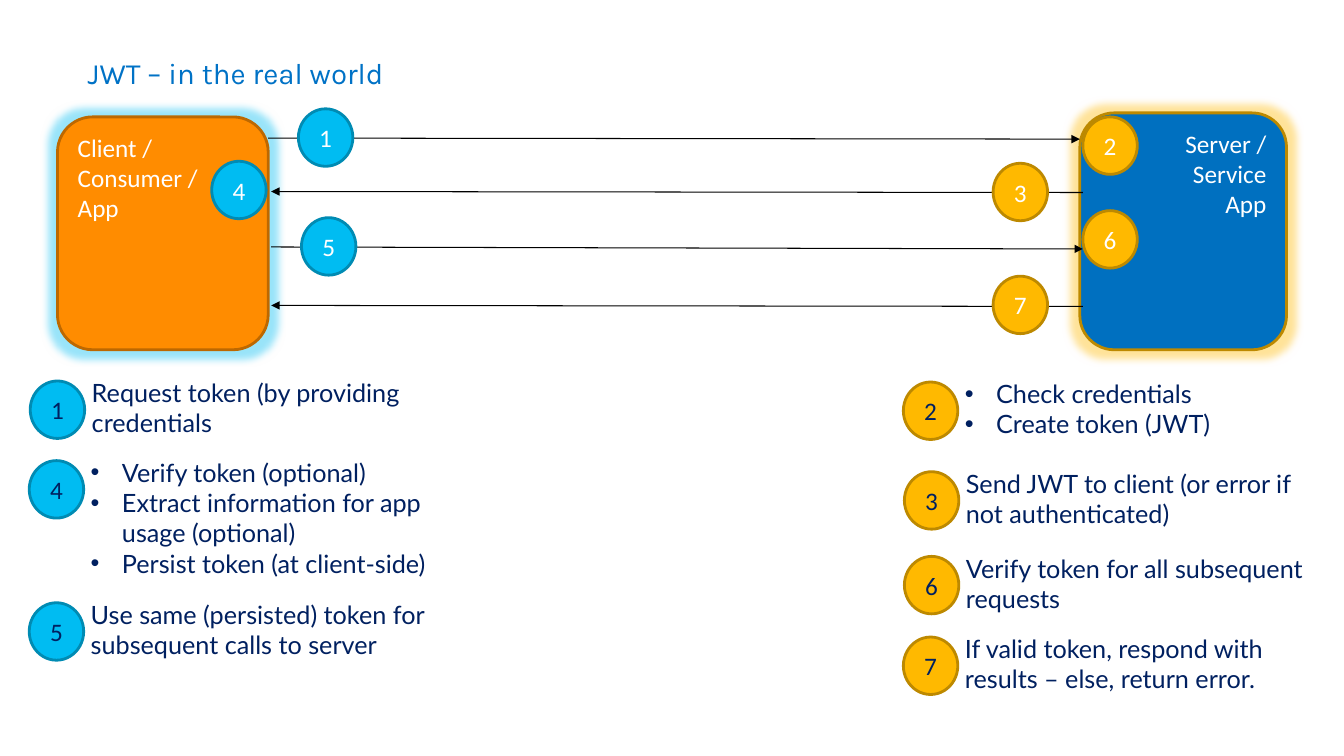
from lxml import etree
from pptx import Presentation
from pptx.dml.color import RGBColor
from pptx.enum import shapes, text
from pptx.oxml import ns
from pptx.util import Inches, Pt

WHITE = RGBColor(0xFF, 0xFF, 0xFF)
BLACK = RGBColor(0, 0, 0)
NAVY = RGBColor(0x00, 0x20, 0x60)
TITLE_BLUE = RGBColor(0x00, 0x72, 0xC6)
ORANGE = RGBColor(0xFF, 0x8C, 0x00)
BROWN = RGBColor(0xBD, 0x68, 0x00)
SERVER_BLUE = RGBColor(0x00, 0x70, 0xC0)
CYAN = RGBColor(0x00, 0xBC, 0xF2)
TEAL = RGBColor(0x00, 0x8B, 0xB3)
AMBER = RGBColor(0xFF, 0xB9, 0x00)
GOLD = RGBColor(0xBD, 0x89, 0x00)

CLIENT_STEPS = {"1", "4", "5"}
BADGE_W, BADGE_H = 0.54, 0.57
LEGEND_GAP, LEGEND_RISE, LEGEND_W, LINE_H = 0.61, 0.035, 3.49, 0.303

TITLE = "JWT – in the real world"
APPS = [
    (0.57, 1.16, 2.09, 2.31, ORANGE, BROWN, CYAN, text.PP_ALIGN.LEFT,
     ["Client /", "Consumer /", "App"]),
    (10.71, 1.12, 2.05, 2.35, SERVER_BLUE, GOLD, AMBER, text.PP_ALIGN.RIGHT,
     ["Server /", "Service", "App"]),
]
ARROWS = [
    (2.66, 1.37, 10.71, 1.38),
    (10.74, 1.91, 2.69, 1.9),
    (2.69, 2.45, 10.74, 2.47),
    (10.74, 3.04, 2.69, 3.03),
]
FLOW_BADGES = [
    ("1", 2.96, 1.08), ("2", 10.74, 1.16), ("3", 9.85, 1.62), ("4", 2.1, 1.6),
    ("5", 2.99, 2.16), ("6", 10.74, 2.09), ("7", 9.85, 2.74),
]
LEGEND = [
    ("1", 0.3, 3.78, 2, ["Request token (by providing credentials"]),
    ("2", 8.96, 3.79, 2, ["Check credentials", "Create token (JWT)"]),
    ("3", 8.97, 4.68, 2, ["Send JWT to client (or error if not authenticated)"]),
    ("4", 0.29, 4.57, 4, ["Verify token (optional)",
                          "Extract information for app usage (optional)",
                          "Persist token (at client-side)"]),
    ("5", 0.29, 5.98, 2, ["Use same (persisted) token for subsequent calls to server"]),
    ("6", 8.97, 5.52, 2, ["Verify token for all subsequent requests"]),
    ("7", 8.96, 6.32, 2, ["If valid token, respond with results – else, return error."]),
]


def add_xml(parent, tag, **attributes):
    return etree.SubElement(parent, ns.qn(tag), attributes)


def set_margins(frame, left, top, right, bottom):
    frame.margin_left, frame.margin_top = Inches(left), Inches(top)
    frame.margin_right, frame.margin_bottom = Inches(right), Inches(bottom)


def write(frame, lines, font, size, color, align=text.PP_ALIGN.LEFT, bulleted=False):
    frame.word_wrap = True
    for index, line in enumerate(lines):
        para = frame.add_paragraph() if index else frame.paragraphs[0]
        para.alignment = align
        if bulleted:
            props = para._p.get_or_add_pPr()
            props.set("marL", str(Inches(0.31)))
            props.set("indent", str(-Inches(0.31)))
            add_xml(props, "a:buFont", typeface="Arial")
            add_xml(props, "a:buChar", char="•")
        span = para.add_run()
        span.text = line
        span.font.name = font
        span.font.size = Pt(size)
        span.font.color.rgb = color


def add_filled(page, kind, left, top, width, height, fill, line):
    shape = page.shapes.add_shape(
        kind, Inches(left), Inches(top), Inches(width), Inches(height))
    shape.shadow.inherit = False
    shape.fill.solid()
    shape.fill.fore_color.rgb = fill
    shape.line.color.rgb = line
    shape.line.width = Pt(2)
    return shape


def add_app(page, left, top, width, height, fill, line, glow, align, lines):
    box = add_filled(page, shapes.MSO_SHAPE.ROUNDED_RECTANGLE,
                     left, top, width, height, fill, line)
    effects = box._element.spPr.find(ns.qn("a:effectLst"))
    halo = add_xml(effects, "a:glow", rad=str(Pt(11)))
    color = add_xml(halo, "a:srgbClr", val=str(glow))
    add_xml(color, "a:alpha", val="40000")
    box.text_frame.vertical_anchor = text.MSO_ANCHOR.TOP
    write(box.text_frame, lines, "Calibri", 18, WHITE, align)


def add_arrow(page, x1, y1, x2, y2):
    arrow = page.shapes.add_connector(
        shapes.MSO_CONNECTOR.STRAIGHT, Inches(x1), Inches(y1), Inches(x2), Inches(y2))
    arrow.line.color.rgb = BLACK
    arrow.line.width = Pt(0.75)
    add_xml(arrow.line._get_or_add_ln(), "a:tailEnd", type="triangle")
    add_xml(arrow._element.spPr, "a:effectLst")


def add_badge(page, step, left, top, color):
    fill, line = (CYAN, TEAL) if step in CLIENT_STEPS else (AMBER, GOLD)
    badge = add_filled(page, shapes.MSO_SHAPE.OVAL,
                       left, top, BADGE_W, BADGE_H, fill, line)
    frame = badge.text_frame
    set_margins(frame, 0, 0, 0, 0)
    frame.vertical_anchor = text.MSO_ANCHOR.MIDDLE
    write(frame, [step], "Calibri", 18, color, text.PP_ALIGN.CENTER)


def add_legend(page, step, left, top, line_count, lines):
    add_badge(page, step, left, top, NAVY)
    box = page.shapes.add_textbox(
        Inches(left + LEGEND_GAP), Inches(top - LEGEND_RISE),
        Inches(LEGEND_W), Inches(line_count * LINE_H))
    set_margins(box.text_frame, 0, 0, 0, 0)
    write(box.text_frame, lines, "Lato", 18, NAVY, bulleted=len(lines) > 1)


def main():
    deck = Presentation()
    deck.slide_width, deck.slide_height = Inches(13.33), Inches(7.5)
    page = deck.slides.add_slide(deck.slide_layouts[5])

    title = page.shapes.title
    title.left, title.top = Inches(0.67), Inches(0)
    title.width, title.height = Inches(12.67), Inches(0.95)
    frame = title.text_frame
    frame.auto_size = text.MSO_AUTO_SIZE.NONE
    frame.vertical_anchor = text.MSO_ANCHOR.BOTTOM
    set_margins(frame, 0.2, 0, 0.2, 0.05)
    write(frame, [TITLE], "Karla", 21, TITLE_BLUE)

    for app in APPS:
        add_app(page, *app)
    for arrow in ARROWS:
        add_arrow(page, *arrow)
    for badge in FLOW_BADGES:
        add_badge(page, *badge, WHITE)
    for entry in LEGEND:
        add_legend(page, *entry)

    deck.save("out.pptx")


if __name__ == "__main__":
    main()
